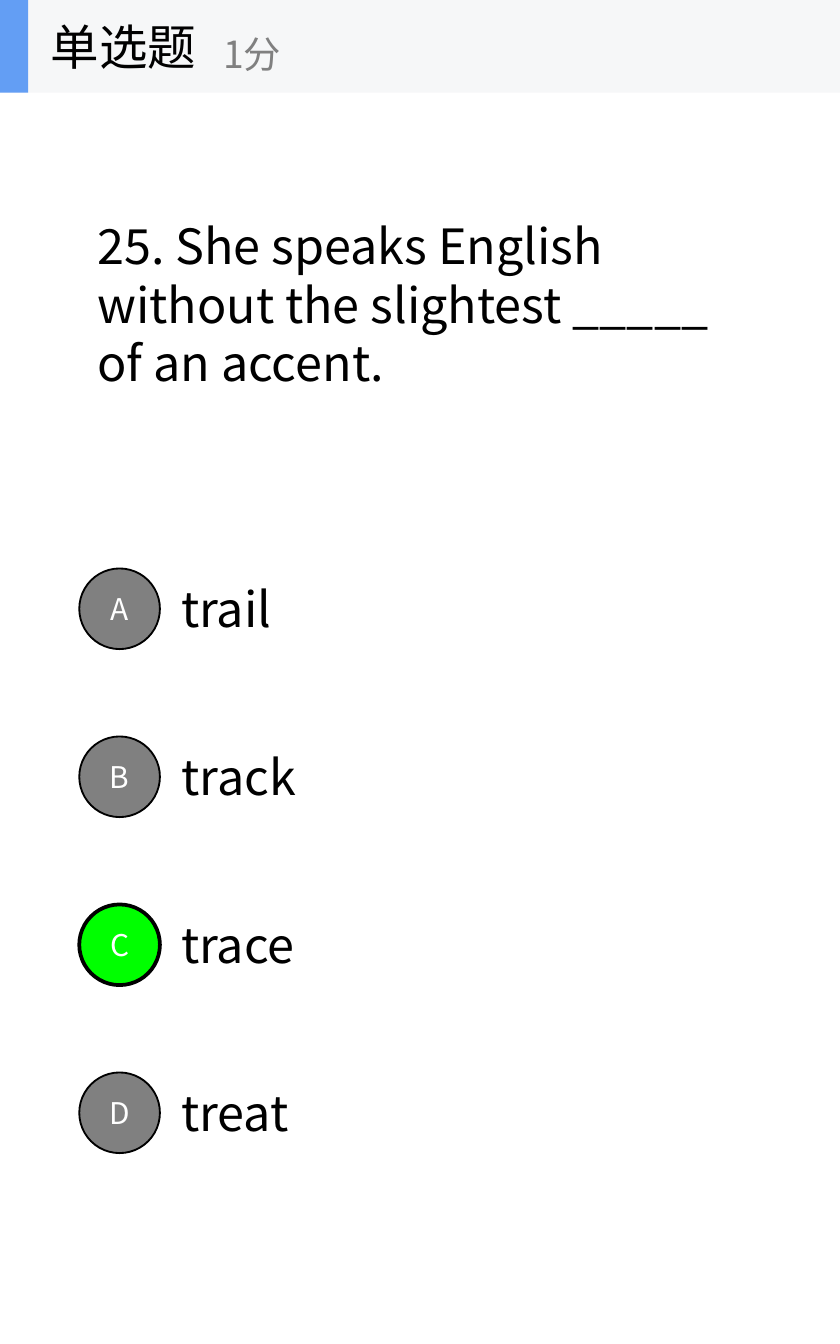
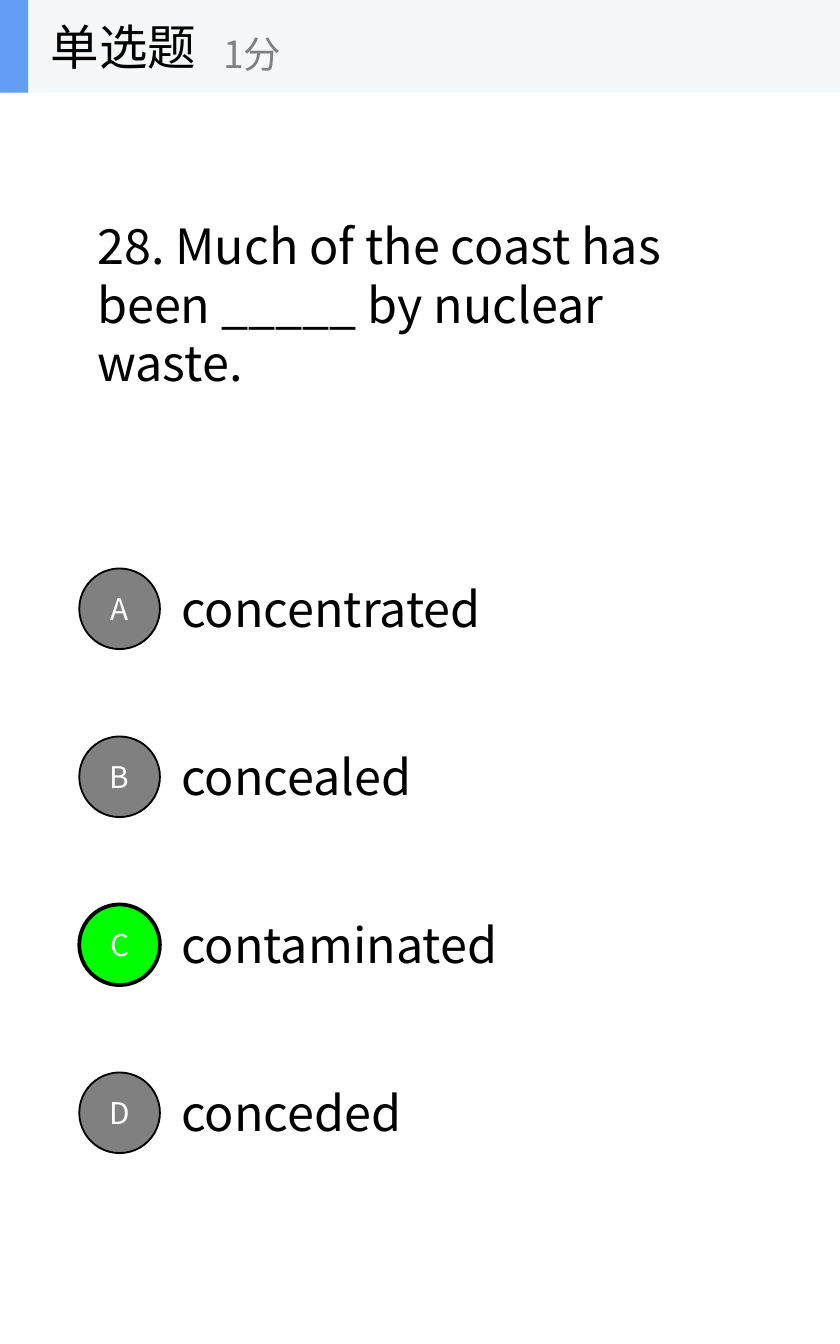
from pptx import Presentation
from pptx.util import Inches, Pt
from pptx.dml.color import RGBColor
from pptx.enum.shapes import MSO_SHAPE
from pptx.enum.text import MSO_ANCHOR, MSO_AUTO_SIZE, PP_ALIGN
from lxml.etree import SubElement
from pptx.oxml.ns import qn

WIDE, HIGH = 6.25, 10
FACE = "Noto Sans CJK SC"
COLS = {"ink": "000000", "grey": "808080", "white": "FFFFFF",
        "right": "00FF00", "band": "F6F7F8", "edge": "639EF4"}
BODY = {"size": Pt(26), "name": FACE}
NOTE = {"size": Pt(20), "name": FACE}
MARK = {"size": Pt(16), "name": FACE}

# Layout: header height, first option's centre, option step, circle size
HEAD, FIRST, STEP, DISC = 0.69, 4.53, HIGH / 8, 0.6
MID = 2.26

# Question, box width and height, right letter, options with box widths
QUIZ = [
    ("25. She speaks English without the slightest _____ of an accent.",
     4.77, 1.4, "C",
     [("trail", 0.97), ("track", 1.15), ("trace", 1.16), ("treat", 1.11)]),
    ("28. Much of the coast has been _____ by nuclear waste.",
     5, 0.97, "C",
     [("concentrated", 2.58), ("concealed", 2.06),
      ("contaminated", 2.7), ("conceded", 1.99)]),
]


def tint(name):
    return RGBColor.from_string(COLS[name])


def write(frame, words, form, col, align=PP_ALIGN.LEFT):
    """Fill a text frame with one vertically centred paragraph."""
    frame.vertical_anchor = MSO_ANCHOR.MIDDLE
    para = frame.paragraphs[0]
    para.alignment = align
    run = para.add_run()
    run.text = words
    for key, val in form.items():
        setattr(run.font, key, val)
    run.font.color.rgb = tint(col)
    east = SubElement(run.font._element, qn("a:ea"))
    east.set("typeface", FACE)


def label(home, box, words, form, col="ink", wrap=True):
    item = home.add_textbox(*map(Inches, box))
    frame = item.text_frame
    frame.word_wrap = wrap
    if wrap:
        frame.auto_size = MSO_AUTO_SIZE.SHAPE_TO_FIT_TEXT
    write(frame, words, form, col)


def block(home, kind, box, fill, line=0):
    item = home.add_shape(kind, *map(Inches, box))
    item.shadow.inherit = False
    item.fill.solid()
    item.fill.fore_color.rgb = tint(fill)
    if line:
        item.line.color.rgb = tint("ink")
        item.line.width = Pt(line)
    else:
        item.line.fill.background()
    return item


def header(slide):
    """Band with the question type and its score."""
    home = slide.shapes.add_group_shape().shapes
    block(home, MSO_SHAPE.RECTANGLE, (0, 0, WIDE, HEAD), "band")
    block(home, MSO_SHAPE.RECTANGLE, (0, 0, 0.21, HEAD), "edge")
    label(home, (0.28, 0, WIDE / 3, HEAD), "单选题", BODY, wrap=False)
    label(home, (WIDE / 4, 0.12, WIDE * 0.4, 0.56), "1分", NOTE, "grey", False)


def choice(slide, row, mark, words, width, right):
    """Option text beside its lettered circle."""
    mid = FIRST + row * STEP
    label(slide.shapes, (WIDE / 5, mid - 0.27, width, 0.53), words, BODY)
    fill, line = ("right", 2) if right else ("grey", 1)
    disc = block(slide.shapes, MSO_SHAPE.OVAL,
                 (0.59, mid - DISC / 2, DISC, DISC), fill, line)
    write(disc.text_frame, mark, MARK, "white", PP_ALIGN.CENTER)


def main():
    deck = Presentation()
    deck.slide_width, deck.slide_height = Inches(WIDE), Inches(HIGH)
    for ask, width, high, key, picks in QUIZ:
        slide = deck.slides.add_slide(deck.slide_layouts[6])
        label(slide.shapes, (WIDE / 10, MID - high / 2, width, high), ask, BODY)
        for row, (mark, (words, span)) in enumerate(zip("ABCD", picks)):
            choice(slide, row, mark, words, span, mark == key)
        header(slide)
    deck.save("out.pptx")


if __name__ == "__main__":
    main()
